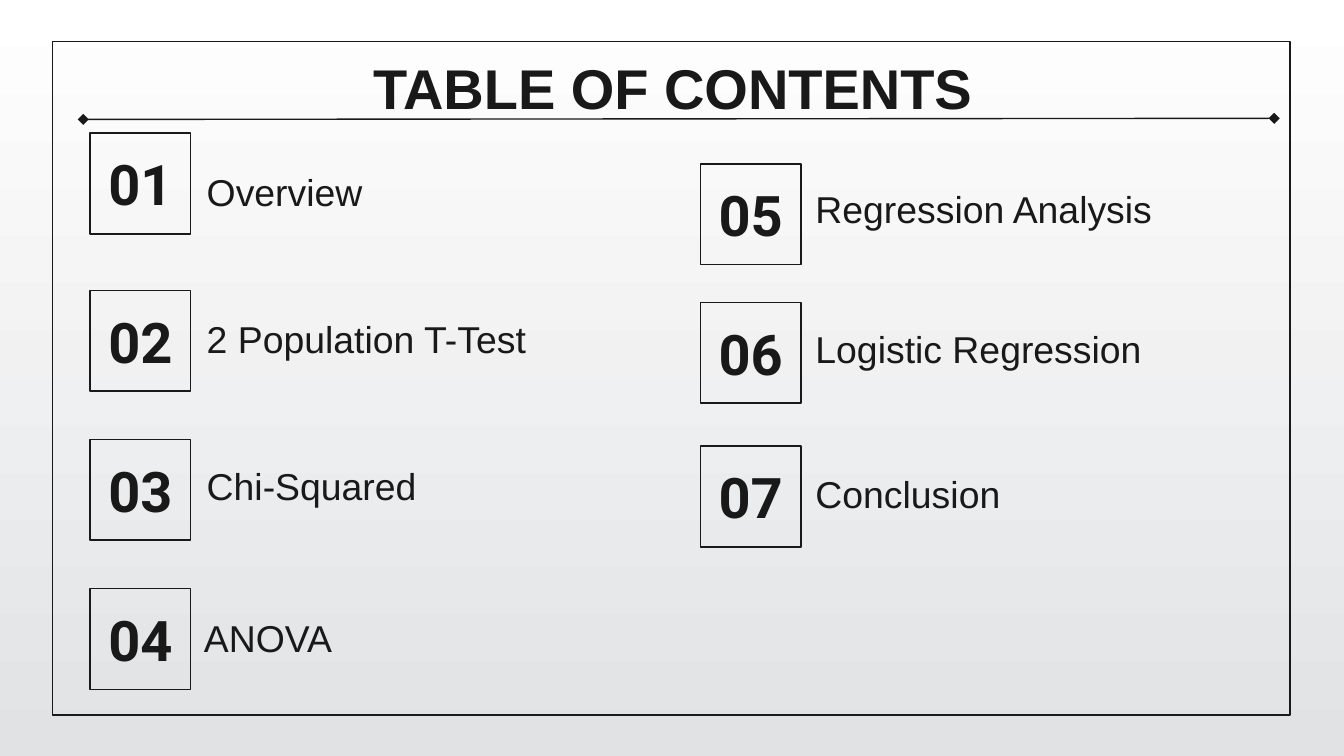
import dataclasses

import pptx
import pptx.dml.color
import pptx.enum.shapes
import pptx.enum.text
import pptx.oxml
import pptx.oxml.ns
import pptx.util

Pt = pptx.util.Pt
Align = pptx.enum.text.PP_ALIGN
Anchor = pptx.enum.text.MSO_ANCHOR
INK = "191919"
SIDE = 54
WIDE, HIGH = 230, 33.84


@dataclasses.dataclass
class Entry:
    """One numbered topic; places are in points."""
    num: str
    topic: str
    box_x: float
    box_y: float
    text_x: float
    text_y: float


ENTRIES = [
    Entry("01", "Overview", 48.2, 71.3, 103.7, 87.8),
    Entry("02", "2 Population T-Test", 48.2, 155.5, 103.7, 167),
    Entry("03", "Chi-Squared", 48.2, 235.4, 103.7, 245.5),
    Entry("04", "ANOVA", 48.2, 315.4, 102.2, 326.9),
    Entry("05", "Regression Analysis", 375.1, 87.8, 429.8, 97.2),
    Entry("06", "Logistic Regression", 375.1, 162, 429.8, 172.1),
    Entry("07", "Conclusion", 375.1, 239, 429.8, 249.8),
]


def tint(color, code: str) -> None:
    """Give a colour object the colour of a hex string."""
    color.rgb = pptx.dml.color.RGBColor.from_string(code)


def write(shape, text: str, size: float, font: str, bold: bool,
          align: Align, anchor: Anchor) -> None:
    frame = shape.text_frame
    frame.word_wrap = True
    frame.auto_size = pptx.enum.text.MSO_AUTO_SIZE.NONE
    frame.vertical_anchor = anchor
    frame.margin_left = frame.margin_right = Pt(7.2)
    frame.margin_top = frame.margin_bottom = Pt(7.2)
    para = frame.paragraphs[0]
    para.alignment = align
    run = para.add_run()
    run.text = text
    run.font.size = Pt(size)
    run.font.name = font
    run.font.bold = bold
    tint(run.font.color, INK)


def draw_box(slide, x: float, y: float, w: float, h: float):
    """Draw an outlined, unfilled rectangle."""
    box = slide.shapes.add_shape(
        pptx.enum.shapes.MSO_SHAPE.RECTANGLE, Pt(x), Pt(y), Pt(w), Pt(h))
    box.shadow.inherit = False
    box.fill.background()
    tint(box.line.color, INK)
    box.line.width = Pt(0.75)
    return box


def draw_entry(slide, entry: Entry) -> None:
    box = draw_box(slide, entry.box_x, entry.box_y, SIDE, SIDE)
    write(box, entry.num, 30, "Roboto", True, Align.CENTER, Anchor.MIDDLE)
    label = slide.shapes.add_textbox(
        Pt(entry.text_x), Pt(entry.text_y), Pt(WIDE), Pt(HIGH))
    write(label, entry.topic, 20, "Arial", False, Align.LEFT, Anchor.BOTTOM)


def draw_rule(slide) -> None:
    """Draw the line below the title, with a diamond at each end."""
    rule = slide.shapes.add_connector(
        pptx.enum.shapes.MSO_CONNECTOR.STRAIGHT,
        Pt(44.6), Pt(64), Pt(682.6), Pt(63.4))
    tint(rule.line.color, INK)
    rule.line.width = Pt(0.75)
    line = rule.line._get_or_add_ln()
    for end in ("a:headEnd", "a:tailEnd"):
        tip = pptx.oxml.xmlchemy.OxmlElement(end)
        tip.set("type", "diamond")
        line.append(tip)
    rule._element.spPr.append(pptx.oxml.xmlchemy.OxmlElement("a:effectLst"))


def main() -> None:
    deck = pptx.Presentation()
    deck.slide_width, deck.slide_height = Pt(720), Pt(405)
    slide = deck.slides.add_slide(deck.slide_layouts[5])

    fill = slide.background.fill
    fill.gradient()
    fill.gradient_angle = 270
    for stop, code in zip(fill.gradient_stops, ("FFFFFF", "E0E2E4")):
        tint(stop.color, code)

    title = slide.shapes.title
    title.left, title.top = Pt(56.9), Pt(21.6)
    title.width, title.height = Pt(607), Pt(45.4)
    write(title, "TABLE OF CONTENTS", 30, "Arial", True,
          Align.CENTER, Anchor.TOP)

    draw_box(slide, 28.1, 22.3, 663.1, 360.7)
    for entry in ENTRIES:
        draw_entry(slide, entry)
    draw_rule(slide)
    deck.save("out.pptx")


if __name__ == "__main__":
    main()
